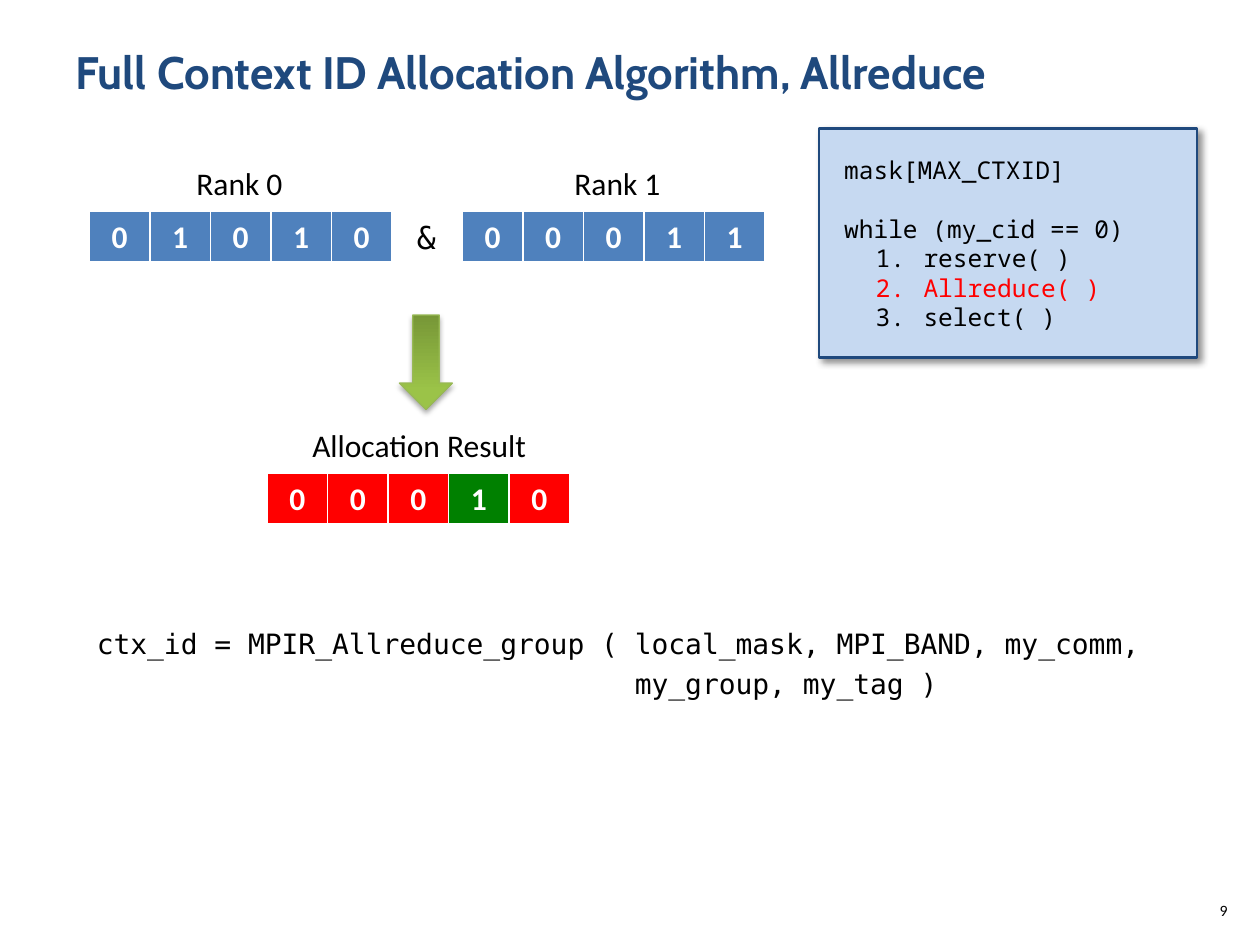
from dataclasses import dataclass

from lxml.etree import SubElement
from pptx import Presentation
from pptx.dml.color import RGBColor as RGB
from pptx.enum.shapes import MSO_SHAPE as SHAPE
from pptx.enum.text import MSO_ANCHOR as ANCHOR, MSO_AUTO_SIZE as AUTO_SIZE, PP_ALIGN as ALIGN
from pptx.oxml.ns import qn
from pptx.util import Inches, Pt


@dataclass(frozen=True)
class Theme:
    heading_font: str = "Cabin"
    body_font: str = "Calibri"
    call_font: str = "DejaVu Sans Mono"
    code_font: str = "Noto Sans Mono"
    title_size: float = 26
    label_size: float = 18
    call_size: float = 16
    code_size: float = 14
    number_size: float = 9
    navy: str = "1F497D"
    panel: str = "C6D9F1"
    black: str = "000000"
    white: str = "FFFFFF"
    blue: str = "4F81BD"
    red: str = "FF0000"
    green: str = "008000"
    arrow_dark: str = "779737"
    arrow_light: str = "9BC348"
    arrow_line: str = "98B955"


class SlideBuilder:
    CELL_WIDTH, CELL_HEIGHT = 0.48, 0.41

    def __init__(self, slide, theme):
        self.slide, self.theme = slide, theme

    def style(self, paragraph, font, size, color, bold=False):
        for run in paragraph.runs:
            run.font.name, run.font.size, run.font.bold = font, Pt(size), bold
            run.font.color.rgb = RGB.from_string(color)

    def indent(self, paragraph, left, first, numbered=False):
        props = paragraph._p.get_or_add_pPr()
        props.set("marL", str(Inches(left)))
        props.set("indent", str(Inches(first)))
        if numbered:
            SubElement(props, qn("a:buFont"), typeface="+mj-lt")
            SubElement(props, qn("a:buAutoNum"), type="arabicPeriod")

    def shadow(self, shape, opacity, blur, distance, angle):
        shape.shadow.inherit = False
        effects = shape._element.spPr.find(qn("a:effectLst"))
        outer = SubElement(effects, qn("a:outerShdw"), blurRad=str(Pt(blur)),
                           dist=str(Pt(distance)), dir=str(angle * 60000),
                           algn="ctr", rotWithShape="0")
        color = SubElement(outer, qn("a:srgbClr"), val=self.theme.black)
        SubElement(color, qn("a:alpha"), val=str(opacity * 1000))

    def text(self, box, content, font, size, color=Theme.black, bold=False,
             align=ALIGN.LEFT, wrap=True):
        frame = self.slide.shapes.add_textbox(*map(Inches, box)).text_frame
        frame.word_wrap = wrap
        if not wrap:
            frame.auto_size = AUTO_SIZE.SHAPE_TO_FIT_TEXT
        frame.text = content
        for paragraph in frame.paragraphs:
            paragraph.alignment = align
            self.style(paragraph, font, size, color, bold)
        return frame

    def label(self, box, content, font=Theme.body_font):
        self.text(box, content, font, self.theme.label_size, wrap=False)

    def call(self, box, content):
        frame = self.text(box, content, self.theme.call_font, self.theme.call_size)
        for index, paragraph in enumerate(frame.paragraphs):
            self.indent(paragraph, 0.38, -0.38)
            if index:
                paragraph.space_before = Pt(3.7)

    def border(self, cell):
        props = cell._tc.get_or_add_tcPr()
        for side, width in (("L", 1), ("R", 1), ("T", 1), ("B", 3)):
            line = SubElement(props, qn(f"a:ln{side}"), w=str(Pt(width)))
            fill = SubElement(line, qn("a:solidFill"))
            SubElement(fill, qn("a:srgbClr"), val=self.theme.white)

    def mask(self, left, top, bits, colors):
        size = self.CELL_WIDTH * len(bits), self.CELL_HEIGHT
        table = self.slide.shapes.add_table(
            1, len(bits), *map(Inches, (left, top, *size))).table
        table.first_row = table.horz_banding = False
        for cell, bit in zip(table.iter_cells(), bits):
            cell.text = bit
            cell.vertical_anchor = ANCHOR.MIDDLE
            self.border(cell)
            cell.fill.solid()
            cell.fill.fore_color.rgb = RGB.from_string(colors[bit])
            paragraph = cell.text_frame.paragraphs[0]
            paragraph.alignment = ALIGN.CENTER
            self.style(paragraph, self.theme.body_font, self.theme.label_size,
                       self.theme.white, bold=True)

    def code_panel(self, box, headings, steps, current_step):
        theme = self.theme
        panel = self.slide.shapes.add_shape(SHAPE.RECTANGLE, *map(Inches, box))
        panel.fill.solid()
        panel.fill.fore_color.rgb = RGB.from_string(theme.panel)
        panel.line.color.rgb = RGB.from_string(theme.navy)
        panel.line.width = Pt(1.5)
        self.shadow(panel, 43, 4, 3, 45)
        frame = panel.text_frame
        frame.word_wrap = True
        frame.vertical_anchor = ANCHOR.MIDDLE
        frame.margin_left = frame.margin_right = Inches(0.2)
        frame.margin_top = frame.margin_bottom = Inches(0.2)
        frame.text = "\n".join(headings + steps)
        for index, paragraph in enumerate(frame.paragraphs):
            paragraph.alignment = ALIGN.LEFT
            numbered = index >= len(headings)
            if numbered:
                paragraph.level = 1
                self.indent(paragraph, 0.63, -0.38, numbered=True)
            else:
                self.indent(paragraph, 0.5, -0.5)
                if index:
                    paragraph.space_before = Pt(16.8)
            color = theme.red if paragraph.text == current_step else theme.black
            self.style(paragraph, theme.code_font, theme.code_size, color)

    def result_arrow(self, box):
        arrow = self.slide.shapes.add_shape(SHAPE.UP_ARROW, *map(Inches, box))
        arrow.rotation = 180
        arrow.fill.gradient()
        arrow.fill.gradient_angle = 90
        stops = ((0, self.theme.arrow_dark), (0.8, self.theme.arrow_light))
        for stop, (position, color) in zip(arrow.fill.gradient_stops, stops):
            stop.position = position
            stop.color.rgb = RGB.from_string(color)
        arrow.line.color.rgb = RGB.from_string(self.theme.arrow_line)
        arrow.line.width = Pt(0.75)
        self.shadow(arrow, 35, 3.1, 1.8, 90)


def main():
    deck = Presentation()
    deck.slide_width, deck.slide_height = Inches(10), Inches(7.5)
    theme = Theme()
    builder = SlideBuilder(deck.slides.add_slide(deck.slide_layouts[6]), theme)

    # Title, call and slide number
    builder.text((0.5, 0.3, 9, 1.03), "Full Context ID Allocation Algorithm, Allreduce",
                 theme.heading_font, theme.title_size, theme.navy, bold=True)
    builder.call((0.67, 4.92, 9, 1.87),
                 "ctx_id = MPIR_Allreduce_group ( local_mask, MPI_BAND, my_comm,\n"
                 "                                my_group, my_tag )")
    builder.text((9.42, 7.1, 0.42, 0.4), "9", theme.body_font, theme.number_size,
                 align=ALIGN.RIGHT)

    # Algorithm outline
    builder.code_panel((6.5, 1.02, 3, 1.82), ["mask[MAX_CTXID]", "while (my_cid == 0)"],
                       ["reserve( )", "Allreduce( )", "select( )"], "Allreduce( )")

    # Masks of both ranks and their combination
    rank_colors = {"0": theme.blue, "1": theme.blue}
    result_colors = {"0": theme.red, "1": theme.green}
    masks = (
        ("Rank 0", (1.46, 1.25, 0.89, 0.4), 0.71, 1.68, "01010", rank_colors),
        ("Rank 1", (4.46, 1.25, 0.89, 0.4), 3.67, 1.68, "00011", rank_colors),
        ("Allocation Result", (2.38, 3.33, 1.92, 0.4), 2.12, 3.76, "00010", result_colors),
    )
    for caption, caption_box, left, top, bits, colors in masks:
        builder.mask(left, top, bits, colors)
        builder.label(caption_box, caption)
    builder.label((3.21, 1.68, 0.36, 0.4), "&", theme.call_font)
    builder.result_arrow((3.17, 2.5, 0.42, 0.75))

    deck.save("out.pptx")


if __name__ == "__main__":
    main()
